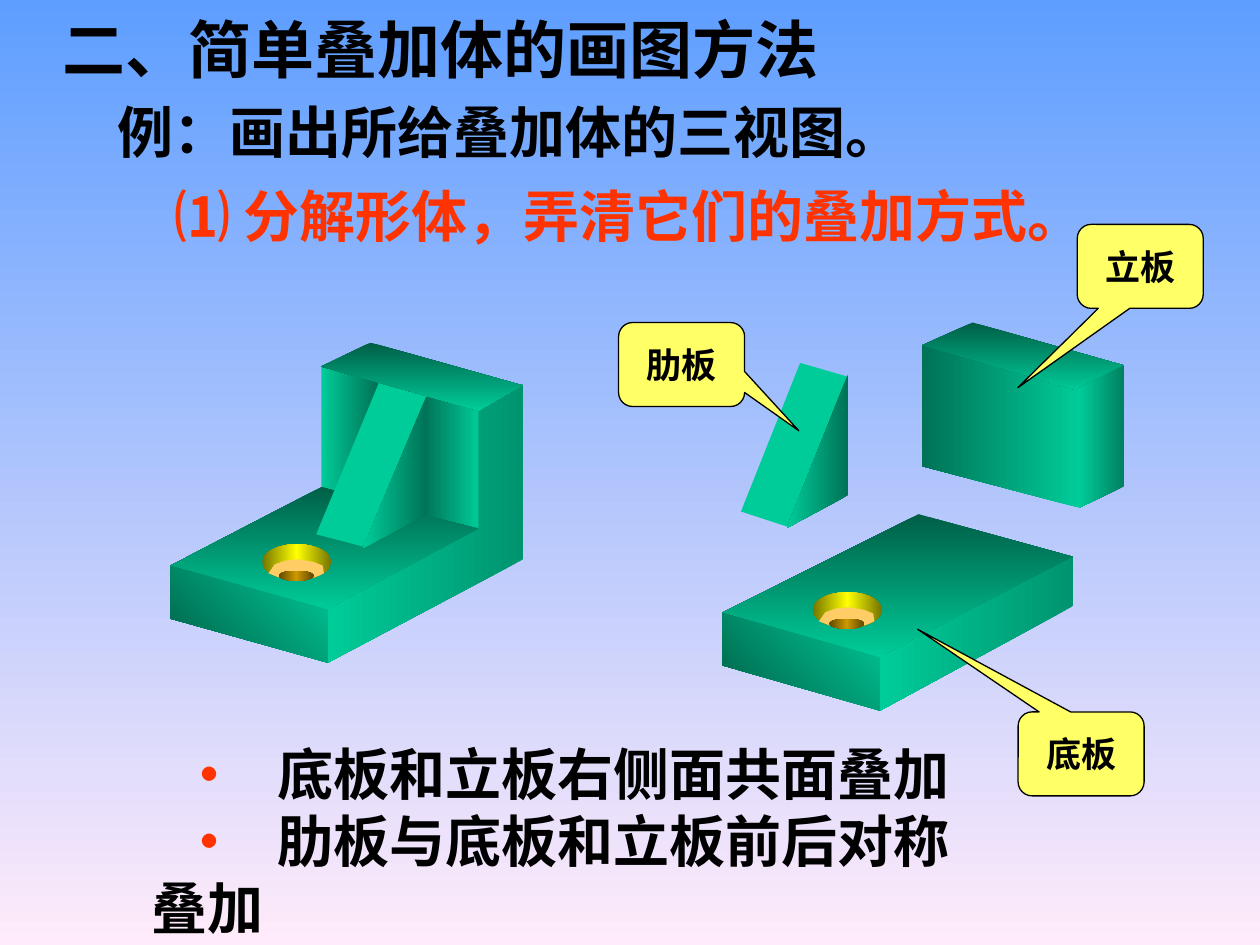
from copy import deepcopy
from lxml.etree import SubElement
from pptx import Presentation
from pptx.dml.color import RGBColor
from pptx.enum.shapes import MSO_SHAPE as Kind
from pptx.enum.text import MSO_ANCHOR as Anchor, PP_ALIGN as Align
from pptx.oxml.ns import qn
from pptx.util import Pt

NOTO, TIMES, ARIAL = "Noto Sans CJK SC", "Times New Roman", "Arial"
BLACK, RED, YELLOW = "000000", "FF3300", "FFFF66"
GREEN, DEEP = "00CC99", "005E46"

# Fills: a colour, or a clockwise angle and evenly spaced stops
SKY = (90, "5E9EFF", "FFEBFA")
TOP = (90, DEEP, GREEN)
FRONT = (135, GREEN, DEEP)
SIDE = (180, "00946F", GREEN)
RIB = (180, "007256", GREEN)
WALL = (180, GREEN, "007256")
EDGE = (180, "008160", GREEN)
BACK = (180, GREEN, "004C39", GREEN)
BRASS = (180, "757500", "FFFF00", "757500")
BORE = (180, "5E4600", "CC9900", "5E4600")

# Each solid: faces from back to front, and the corner of its hole
SOLIDS = [
    # Base plate
    ([(TOP, [(412.6, 350.2), (502.8, 375.8), (613.2, 318.2), (524.9, 293.8)]),
      (FRONT, [(412.6, 350.2), (412.6, 380.2), (502.8, 406.1), (502.8, 375.8)]),
      (SIDE, [(502.8, 375.8), (502.8, 406.1), (613.2, 346.3), (613.2, 318.2)])],
     (464.4, 338.4)),
    # Rib
    ([(GREEN, [(457.2, 207.4), (423.4, 292.3), (450, 301), (484.6, 215.3)]),
      (RIB, [(484.6, 213.8), (484.6, 283), (449.6, 301.7)])], None),
    # Upright plate
    ([(WALL, [(527, 197.3), (616.5, 223.2), (617, 290.2), (527, 266.4)]),
      (TOP, [(555.8, 184.3), (642.2, 208.8), (617.4, 223.6), (527, 197.3)]),
      (EDGE, [(616.5, 290.2), (616.5, 222), (642.2, 208.8), (642.2, 278)])],
     None),
    # Whole body
    ([(TOP, [(97.2, 323.3), (187.2, 348.5), (275.8, 302.4), (185.8, 277.2)]),
      (BACK, [(183.6, 208.8), (274, 234), (273.6, 301.7), (183.6, 277.9)]),
      (FRONT, [(97.2, 323.3), (97.2, 353.5), (187.2, 378.7), (187.2, 348.5)]),
      (SIDE, [(187.2, 348.5), (187.2, 378.7), (298.8, 319.7),
              (298.8, 219.6), (273.6, 234.7), (273.6, 302.4)]),
      (GREEN, [(216.7, 218.2), (180.7, 305.3), (208.1, 312.5), (244.1, 226.1)]),
      (RIB, [(244.1, 225.4), (244.1, 293.8), (207.4, 313.2)]),
      (TOP, [(211.7, 195.8), (298.8, 220.3), (273.6, 234.7), (183.6, 209.5)])],
     (149.8, 311)),
]
STEP = [(3.6, 16.6), (7.2, 11.5), (13, 9.4), (20.2, 8.6), (29.5, 10.1),
        (34.6, 12.2), (35.3, 16.6), (32.4, 18), (25.9, 20.2), (18, 20.2),
        (10.8, 19.4), (7.2, 18)]

# Callouts: text, left, top, pointer offsets
NOTES = [("底板", 581.8, 406.8, -1.297, -1.484),
         ("立板", 615.6, 128.2, -0.972, 1.445),
         ("肋板", 353.5, 184.3, 0.931, 0.789)]

# Headings: text, box, format
HEADS = [
    ("二、简单叠加体的画图方法", (28.8, 2.2, 446.4, 50.4),
     dict(size=36, wrap=False)),
    ("例：画出所给叠加体的三视图。", (59.8, 54, 476.6, 41.8),
     dict(font=TIMES, anchor=Anchor.MIDDLE)),
    ("⑴ 分解形体，弄清它们的叠加方式。", (92.9, 100.1, 578.9, 46.1),
     dict(color=RED, anchor=Anchor.MIDDLE)),
]
POINTS = ["底板和立板右侧面共面叠加", "肋板与底板和立板前后对称叠加"]


def rgb(code):
    return RGBColor.from_string(code)


def paint(fill, look, node):
    if isinstance(look, str):
        fill.solid()
        fill.fore_color.rgb = rgb(look)
        return
    angle, *stops = look
    fill.gradient()
    fill.gradient_angle = 360 - angle
    if len(stops) == 3:
        row = node.xpath(".//a:gsLst")[0]
        row.insert(1, deepcopy(row[0]))
    for i, (stop, code) in enumerate(zip(fill.gradient_stops, stops)):
        stop.position = i / (len(stops) - 1)
        stop.color.rgb = rgb(code)


def finish(shape, look):
    shape.shadow.inherit = False
    paint(shape.fill, look, shape.element)
    shape.line.fill.background()
    return shape


def face(group, look, spots):
    (x, y), *rest = [(Pt(x), Pt(y)) for x, y in spots]
    pen = group.shapes.build_freeform(x, y)
    pen.add_line_segments(rest, close=True)
    finish(pen.convert_to_shape(), look)


def add(shapes, kind, box, look):
    return finish(shapes.add_shape(kind, *map(Pt, box)), look)


def hole(group, x, y):
    add(group.shapes, Kind.OVAL, (x, y, 39.6, 20.2), BRASS)
    face(group, "FFCC66", [(x + dx, y + dy) for dx, dy in STEP])
    add(group.shapes, Kind.OVAL, (x + 9.4, y + 15.1, 20.2, 5.8), BORE)


def write(para, text, size=32, font=NOTO, color=BLACK):
    run = para.add_run()
    run.text = text
    style = run.font
    style.size, style.bold, style.name = Pt(size), True, font
    style.color.rgb = rgb(color)
    SubElement(run.font._element, qn("a:ea")).set("typeface", NOTO)


def setup(shape, anchor=Anchor.TOP, wrap=True):
    frame = shape.text_frame
    frame.word_wrap, frame.vertical_anchor = wrap, anchor
    return frame


def main():
    deck = Presentation()
    deck.slide_width, deck.slide_height = Pt(720), Pt(540)
    slide = deck.slides.add_slide(deck.slide_layouts[6])
    paint(slide.background.fill, SKY, slide.element)

    # Solids
    for faces, spot in SOLIDS:
        group = slide.shapes.add_group_shape()
        for look, spots in faces:
            face(group, look, spots)
        if spot:
            hole(group, *spot)

    # Bullet points
    box = slide.shapes.add_textbox(*map(Pt, (79.2, 419, 497.5, 84.2)))
    frame = setup(box)
    for i, text in enumerate(POINTS):
        para = frame.add_paragraph() if i else frame.paragraphs[0]
        props = para._p.get_or_add_pPr()
        props.set("marL", "0")
        props.set("indent", str(Pt(17.5)))
        tabs = SubElement(props, qn("a:tabLst"))
        SubElement(tabs, qn("a:tab"), pos=str(Pt(52.5)), algn="l")
        write(para, "•", font=ARIAL, color=RED)
        write(para, "\t" + text)

    # Callouts
    for text, x, y, dx, dy in NOTES:
        note = add(slide.shapes, Kind.ROUNDED_RECTANGULAR_CALLOUT,
                   (x, y, 72, 48), YELLOW)
        for i, value in enumerate((dx, dy, 0.167)):
            note.adjustments[i] = value
        note.line.color.rgb, note.line.width = rgb(BLACK), Pt(0.75)
        para = setup(note, Anchor.MIDDLE).paragraphs[0]
        para.alignment = Align.CENTER
        write(para, text, size=20, font=TIMES)

    # Headings
    for text, place, form in HEADS:
        box = slide.shapes.add_textbox(*map(Pt, place))
        lay = {k: form[k] for k in ("anchor", "wrap") if k in form}
        look = {k: form[k] for k in form if k not in lay}
        write(setup(box, **lay).paragraphs[0], text, **look)

    deck.save("out.pptx")


if __name__ == "__main__":
    main()
